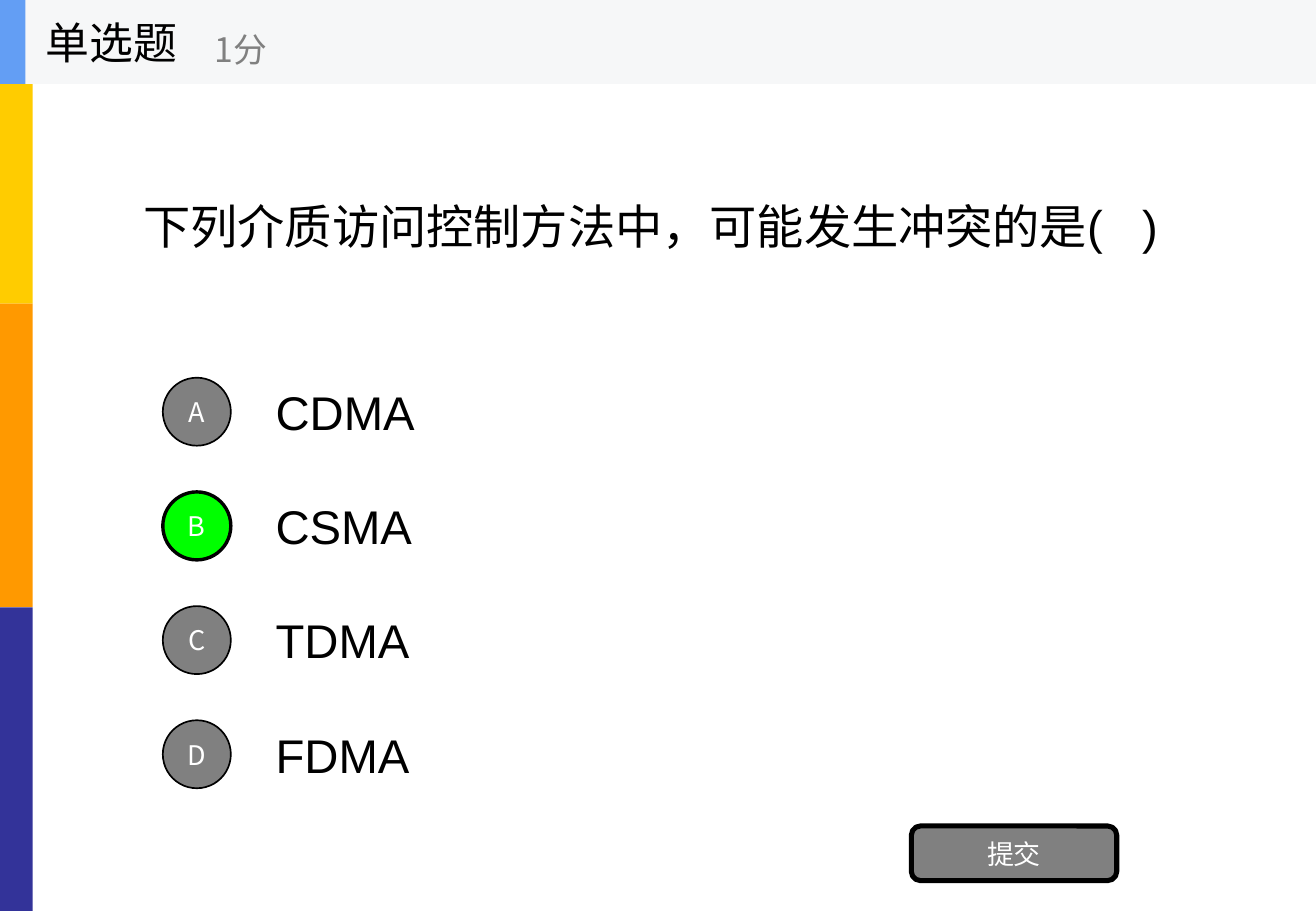
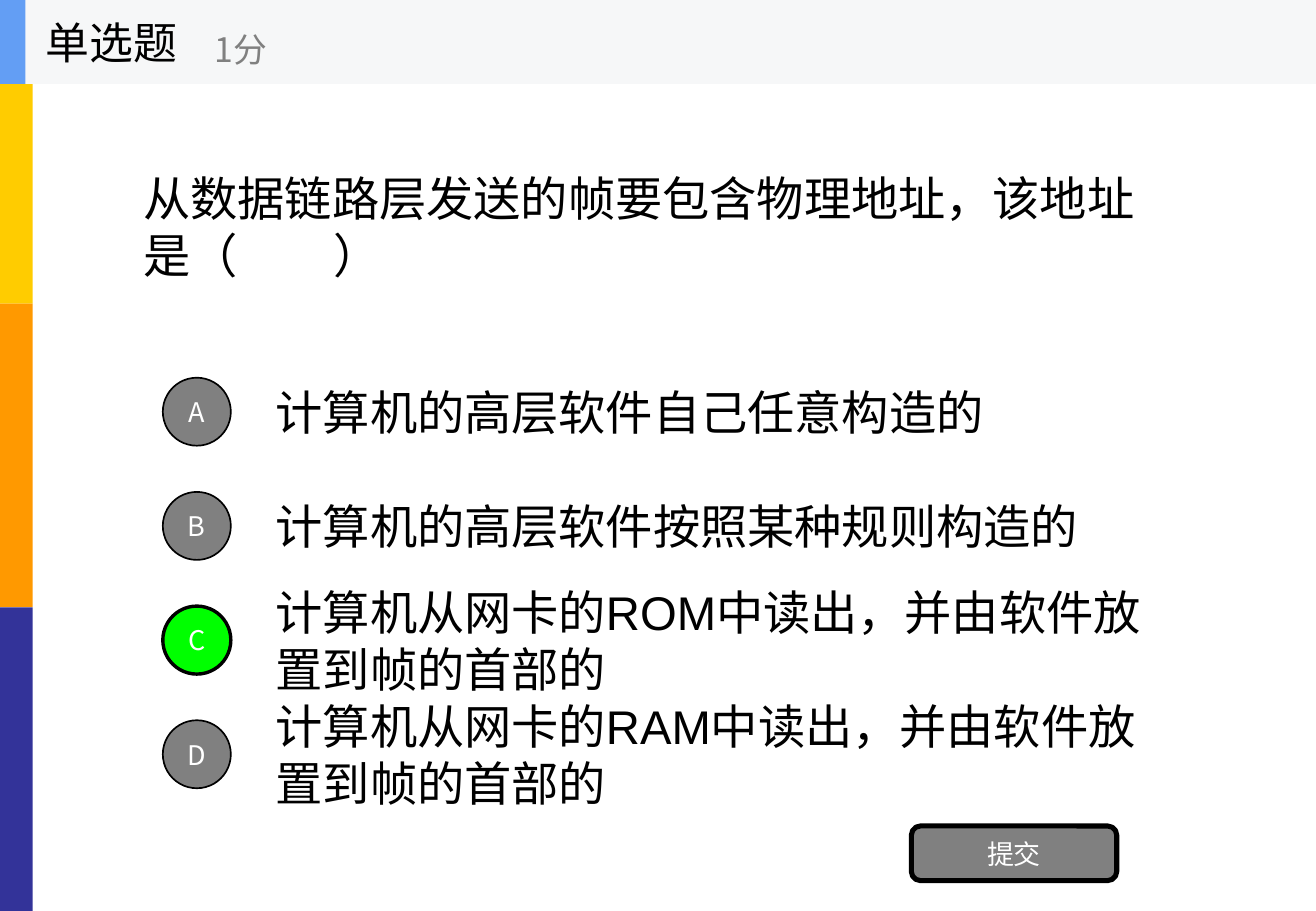
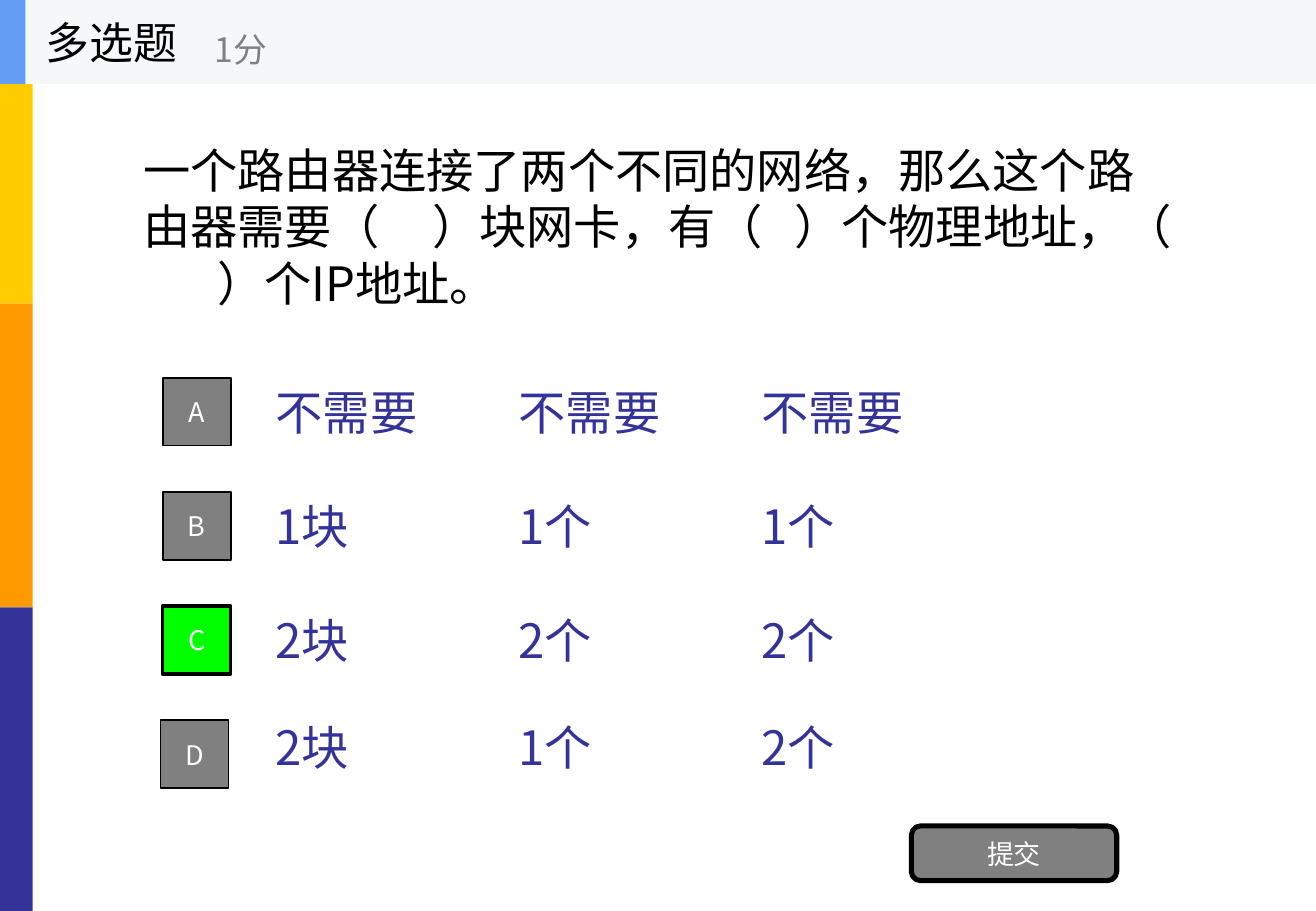
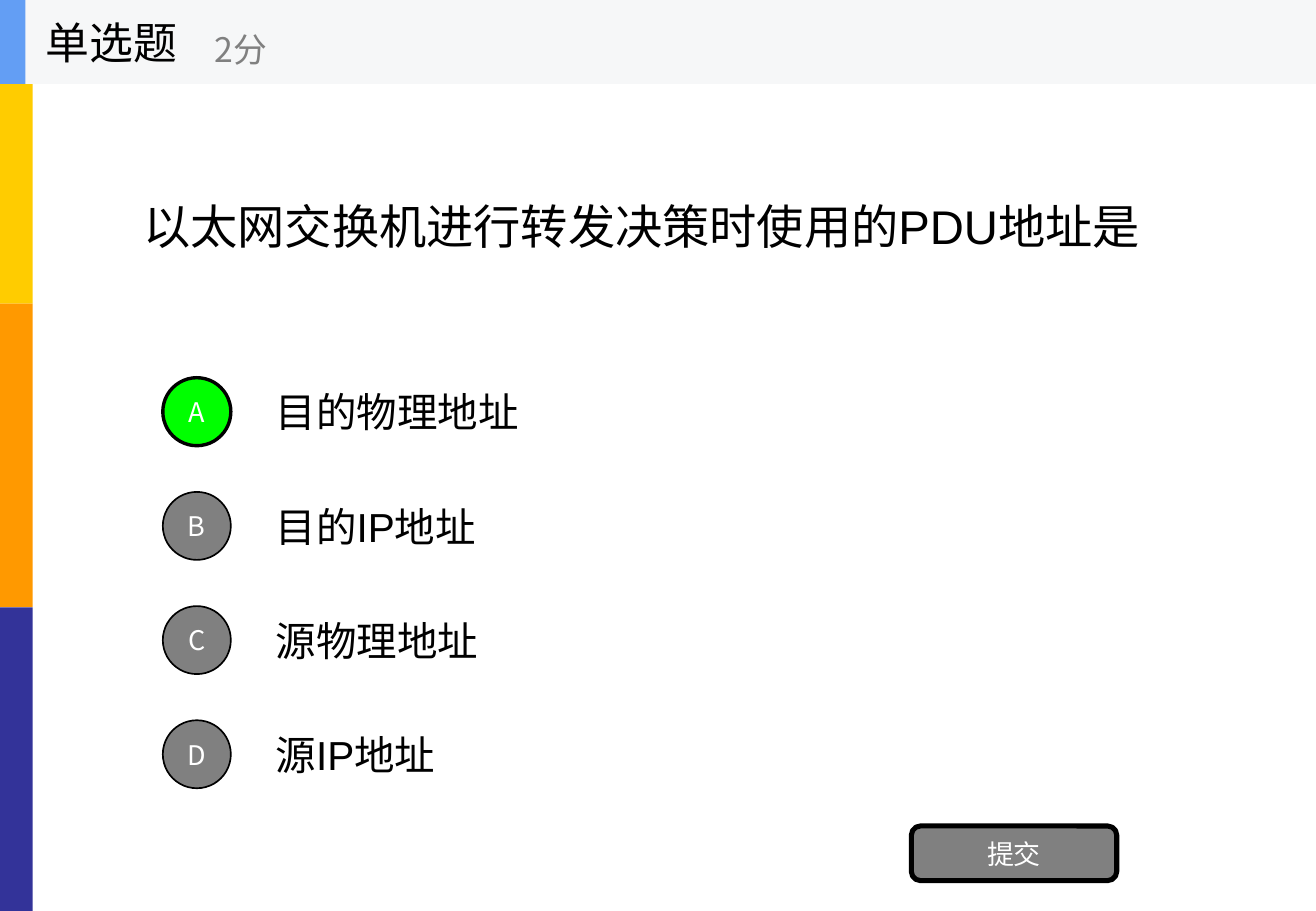
from dataclasses import dataclass

from lxml.etree import SubElement
from pptx import Presentation
from pptx.dml.color import RGBColor
from pptx.enum.shapes import MSO_SHAPE as Kind
from pptx.enum.text import MSO_ANCHOR as Anchor, MSO_AUTO_SIZE as Fit, PP_ALIGN as Align
from pptx.oxml.ns import qn
from pptx.util import Inches, Pt

INK = {
    "black": "000000", "white": "FFFFFF", "gray": "808080", "green": "00FF00",
    "gold": "FFCC00", "orange": "FF9900", "navy": "333399",
    "pale": "F6F7F8", "sky": "639EF4",
}
LATIN = "Arial"
HAN = "Noto Sans CJK SC"
WIDE, HIGH = 10.83, 7.5
BAND = HIGH / 3
TOP, STEP = 3.04, 0.94
TABS = (2, 4)


@dataclass(frozen=True)
class Box:
    left: float
    top: float
    width: float
    height: float


@dataclass(frozen=True)
class Style:
    size: float
    ink: str = "black"
    font: str = HAN
    align: Align = Align.LEFT


@dataclass(frozen=True)
class Bar:
    box: Box
    ink: str


@dataclass(frozen=True)
class Choice:
    text: str
    lift: float = 0
    shift: float = 0


@dataclass(frozen=True)
class Quiz:
    kind: str
    score: str
    ask: str
    right: str
    choices: tuple[Choice, ...]
    ask_style: Style = Style(28, font=LATIN)
    style: Style = Style(28, font=LATIN)
    badge: Kind = Kind.OVAL


BARS = [
    *(Bar(Box(0, BAND * i, 0.27, BAND), ink)
      for i, ink in enumerate(("gold", "orange", "navy"))),
    Bar(Box(0, 0, WIDE, 0.69), "pale"),
    Bar(Box(0, 0, 0.21, 0.69), "sky"),
]
HEAD = Style(26)
SCORE = Style(20, "gray")
LABEL = Style(16, "white", align=Align.CENTER)

QUIZZES = [
    Quiz("单选题", "1分", "下列介质访问控制方法中，可能发生冲突的是(   )", "B",
         (Choice("CDMA"), Choice("CSMA"), Choice("TDMA"), Choice("FDMA"))),
    Quiz("单选题", "1分", "从数据链路层发送的帧要包含物理地址，该地址是（         ）", "C",
         (Choice("计算机的高层软件自己任意构造的"),
          Choice("计算机的高层软件按照某种规则构造的"),
          Choice("计算机从网卡的ROM中读出，并由软件放置到帧的首部的"),
          Choice("计算机从网卡的RAM中读出，并由软件放置到帧的首部的"))),
    Quiz("多选题", "1分",
         "一个路由器连接了两个不同的网络，那么这个路由器需要（     ）块网卡，"
         "有（   ）个物理地址，（        ）个IP地址。", "C",
         (Choice("不需要\t不需要\t不需要"), Choice("1块\t1个\t1个"),
          Choice("2块\t2个\t2个"), Choice("2块\t1个\t2个", 0.06, 0.02)),
         Style(28), Style(28, "navy"), Kind.RECTANGLE),
    Quiz("单选题", "2分", "以太网交换机进行转发决策时使用的PDU地址是", "A",
         (Choice("目的物理地址"), Choice("目的IP地址"),
          Choice("源物理地址"), Choice("源IP地址")),
         style=Style(24, font=LATIN)),
]


def tint(name: str) -> RGBColor:
    return RGBColor.from_string(INK[name])


def place(box: Box) -> tuple[int, ...]:
    return tuple(Inches(n) for n in (box.left, box.top, box.width, box.height))


def write(shape, text: str, style: Style) -> None:
    frame = shape.text_frame
    frame.text = text
    frame.word_wrap = True
    frame.auto_size = Fit.NONE
    frame.vertical_anchor = Anchor.MIDDLE
    para = frame.paragraphs[0]
    para.alignment = style.align
    for run in para.runs:
        font = run.font
        font.size = Pt(style.size)
        font.name = style.font
        font.color.rgb = tint(style.ink)
        SubElement(font._element, qn("a:ea"), typeface=HAN)
    if "\t" in text:
        stops = SubElement(para._p.get_or_add_pPr(), qn("a:tabLst"))
        for stop in TABS:
            SubElement(stops, qn("a:tab"), pos=str(Inches(stop)), algn="l")


def add_text(slide, box: Box, text: str, style: Style) -> None:
    write(slide.shapes.add_textbox(*place(box)), text, style)


def add_form(slide, kind: Kind, box: Box, ink: str, line: float = 0):
    shape = slide.shapes.add_shape(kind, *place(box))
    shape.shadow.inherit = False
    shape.fill.solid()
    shape.fill.fore_color.rgb = tint(ink)
    if line:
        shape.line.color.rgb = tint("black")
        shape.line.width = Pt(line)
    else:
        shape.line.fill.background()
    return shape


def add_bars(deck, slide) -> None:
    tree = deck.slide_master.element.cSld.spTree
    for num, bar in enumerate(BARS, 20):
        form = add_form(slide, Kind.RECTANGLE, bar.box, bar.ink).element
        form.nvSpPr.cNvPr.id = num
        tree.append(form)


def add_choice(slide, quiz: Quiz, row: int, choice: Choice) -> None:
    top = TOP + STEP * row
    mark = "ABCD"[row]
    right = mark == quiz.right
    add_text(slide, Box(2.17, top - choice.lift, 7.58, 0.7), choice.text, quiz.style)
    badge = add_form(slide, quiz.badge, Box(1.34 - choice.shift, top + 0.07, 0.56, 0.56),
                     "green" if right else "gray", 2 if right else 1)
    write(badge, mark, LABEL)


def add_quiz(slide, quiz: Quiz) -> None:
    title = slide.shapes.title
    title.left, title.top, title.width, title.height = place(Box(1.08, 0.69, 8.67, 2.34))
    write(title, quiz.ask, quiz.ask_style)
    for row, choice in enumerate(quiz.choices):
        add_choice(slide, quiz, row, choice)
    button = add_form(slide, Kind.ROUNDED_RECTANGLE, Box(7.5, 6.8, 1.69, 0.45), "gray", 3)
    write(button, "提交", LABEL)
    add_text(slide, Box(0.28, 0, 2.08, 0.69), quiz.kind, HEAD)
    add_text(slide, Box(1.67, 0.12, 2.5, 0.56), quiz.score, SCORE)


def main() -> None:
    deck = Presentation()
    deck.slide_width, deck.slide_height = Inches(WIDE), Inches(HIGH)
    slides = [deck.slides.add_slide(deck.slide_layouts[5]) for _ in QUIZZES]
    add_bars(deck, slides[0])
    for slide, quiz in zip(slides, QUIZZES):
        add_quiz(slide, quiz)
    deck.save("out.pptx")


main()
